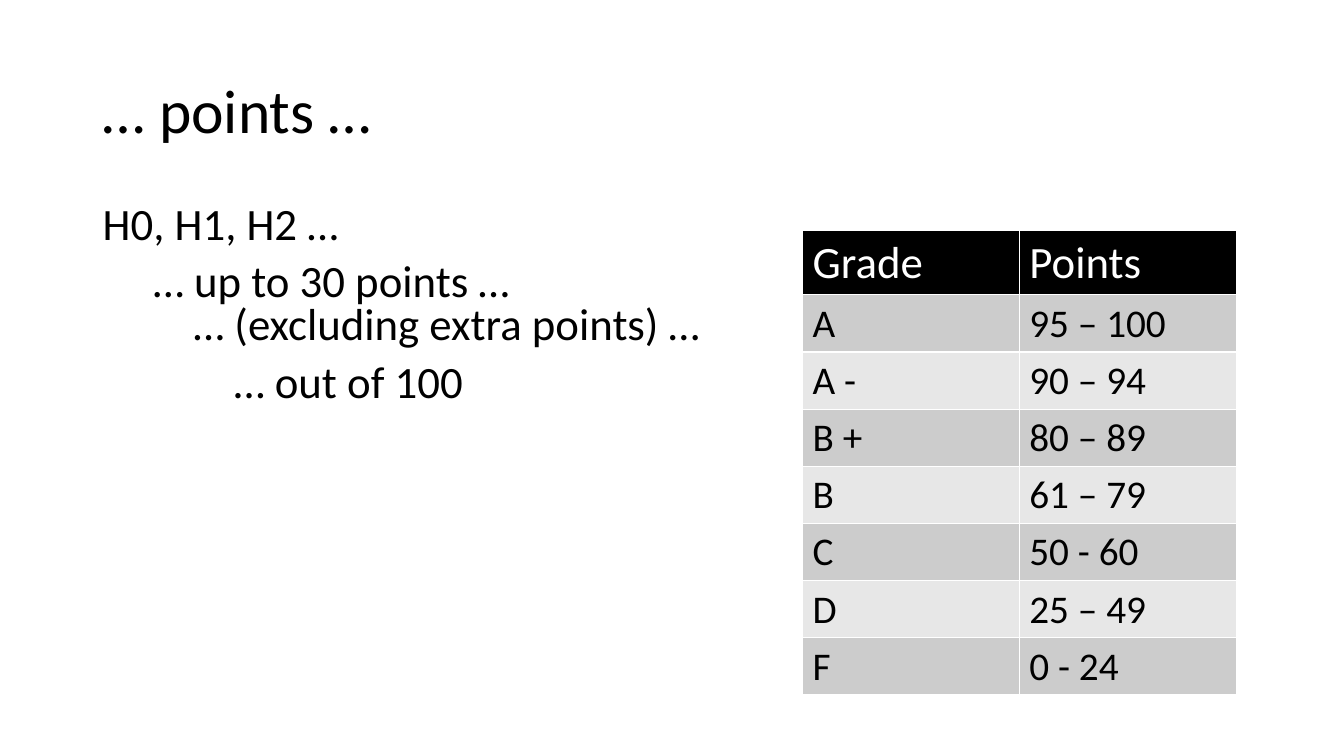
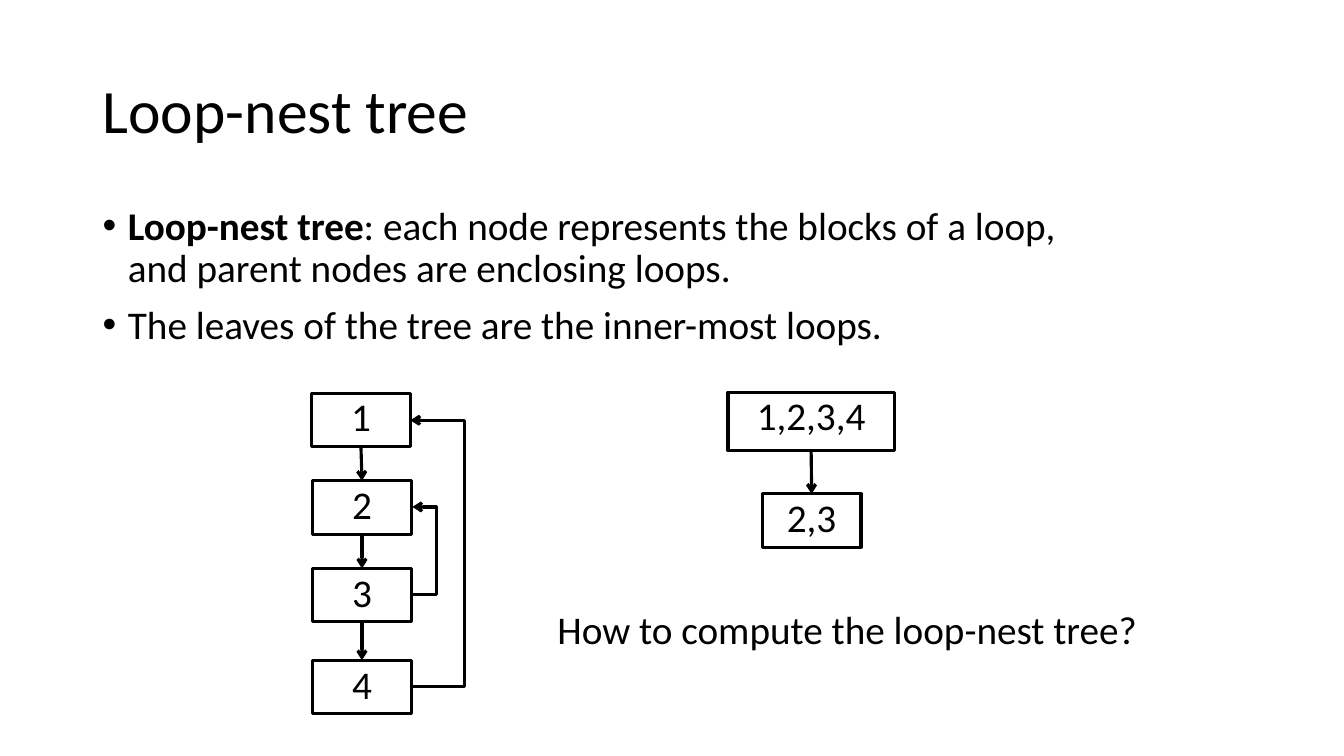
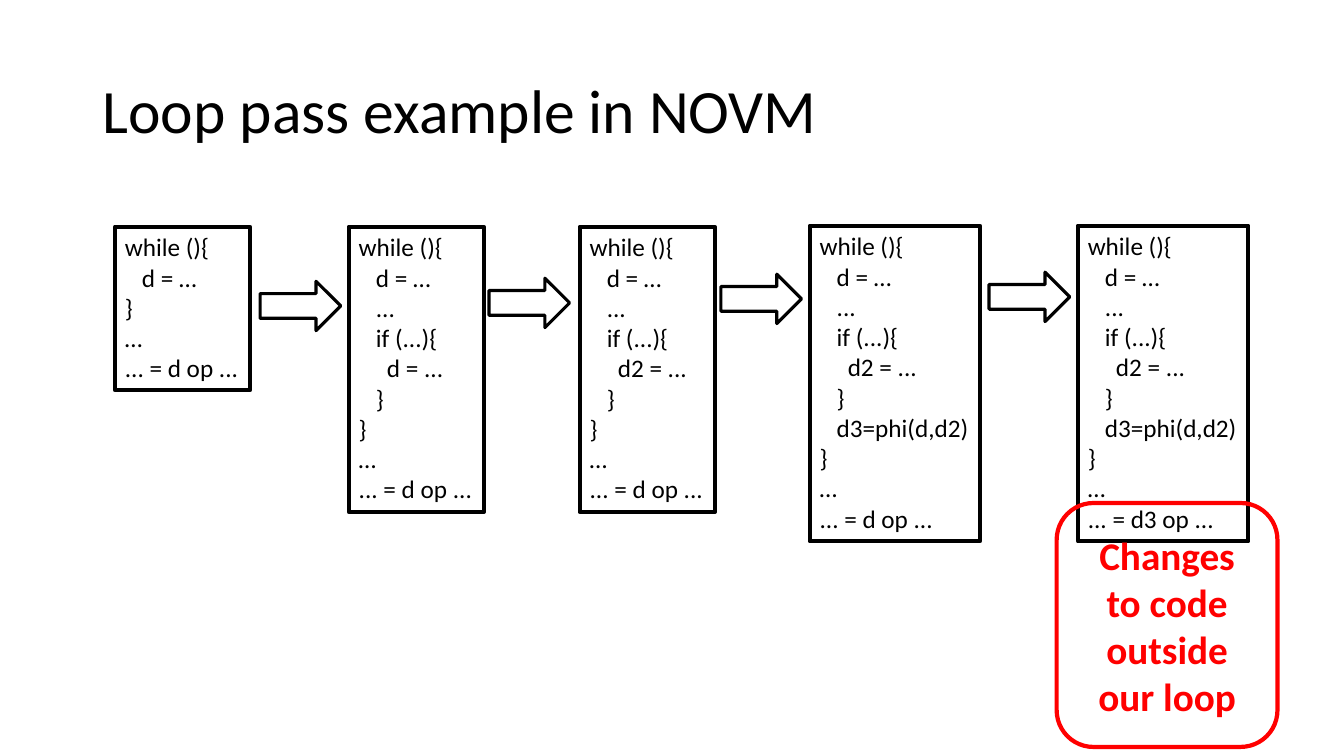
import lxml.etree
import pptx
import pptx.dml.color
import pptx.enum.shapes
import pptx.enum.text
import pptx.oxml.ns
import pptx.util

PX = 9144  # 100 px to the inch
BLACK, WHITE, RED = "000000", "FFFFFF", "FF0000"
GREYS = ["E7E7E7", "CCCCCC"]
FONT = "Calibri"
SHAPE = pptx.enum.shapes.MSO_SHAPE
LINK = pptx.enum.shapes.MSO_CONNECTOR
ALIGN = pptx.enum.text.PP_ALIGN
ANCHOR = pptx.enum.text.MSO_ANCHOR
rgb = pptx.dml.color.RGBColor.from_string
qn = pptx.oxml.ns.qn
sub = lxml.etree.SubElement


def write(tf, paras, size, color=BLACK, bold=False, bullet=False, **fmt):
    """Paragraphs are (left indent, space before, text); *...* is bold, \\v breaks a line."""
    for n, (left, before, text) in enumerate(paras):
        p = tf.add_paragraph() if n else tf.paragraphs[0]
        for name, value in fmt.items():
            setattr(p, name, value)
        p.space_before = pptx.util.Pt(before)
        pPr = p._p.get_or_add_pPr()
        pPr.set("marL", str(left * PX))
        if bullet:
            pPr.set("indent", str(-left * PX))
            sub(pPr, qn("a:buFont"), typeface="Arial")
            sub(pPr, qn("a:buChar"), char="•")
        for i, part in enumerate(text.split("*")):
            for j, line in enumerate(part.split("\v")):
                if j:
                    p.add_line_break()
                if line:
                    r = p.add_run()
                    r.text = line
                    r.font.name, r.font.size = FONT, pptx.util.Pt(size)
                    r.font.bold = bold or i % 2 == 1
                    r.font.color.rgb = rgb(color)


def add_box(s, at, kind=None, line=BLACK, width=2.25, anchor=ANCHOR.TOP):
    """Outlined shape, or a plain text box when no kind is given."""
    at = [v * PX for v in at]
    if kind is None:
        sp = s.shapes.add_textbox(*at)
    else:
        sp = s.shapes.add_shape(kind, *at)
        sp.shadow.inherit = False
        sp.fill.background()
        sp.line.color.rgb = rgb(line)
        sp.line.width = pptx.util.Pt(width)
    sp.text_frame.word_wrap = True
    sp.text_frame.vertical_anchor = anchor
    return sp


prs = pptx.Presentation()
prs.slide_width, prs.slide_height = 1333 * PX, 750 * PX

# Slides with their titles
slides = []
for title in ["… points …", "Loop-nest tree", "Loop pass example in NOVM"]:
    s = prs.slides.add_slide(prs.slide_layouts[6])
    sp = add_box(s, (92, 40, 1150, 145), anchor=ANCHOR.MIDDLE)
    write(sp.text_frame, [(0, 0, title)], 44, line_spacing=0.9)
    slides.append(s)
points, tree, example = slides

# Points: text
sp = add_box(points, (92, 200, 639, 226))
write(sp.text_frame, [
    (0, 0, "H0, H1, H2 …"),
    (50, 10, "… up to 30 points …"),
    (90, 0, "… (excluding extra points) …"),
    (130, 10, "… out of 100"),
], 32, line_spacing=0.8)

# Points: grade table, whose rows grow to fit their text
grades = [("Grade", "Points"), ("A", "95 – 100"), ("A -", "90 – 94"), ("B +", "80 – 89"),
          ("B", "61 – 79"), ("C", "50 - 60"), ("D", "25 – 49"), ("F", "0 - 24")]
tbl = points.shapes.add_table(len(grades), 2, 796 * PX, 229 * PX, 430 * PX, 460 * PX).table
for i, row in enumerate(grades):
    head = i == 0
    tbl.rows[i].height = 46 * PX
    for j, text in enumerate(row):
        cell = tbl.cell(i, j)
        write(cell.text_frame, [(0, 0, text)], 32 if head else 28, WHITE if head else BLACK)
        tcPr = cell._tc.get_or_add_tcPr()
        for side in ["lnL", "lnR", "lnT", "lnB"]:
            ln = sub(tcPr, qn("a:" + side), w="12700")
            sub(sub(ln, qn("a:solidFill")), qn("a:srgbClr"), val=WHITE)
        cell.fill.solid()
        cell.fill.fore_color.rgb = rgb(BLACK if head else GREYS[i % 2])

# Tree: text
sp = add_box(tree, (92, 200, 1148, 167))
write(sp.text_frame, [
    (25, 0, "*Loop-nest tree*: each node represents the blocks of a loop,\vand parent nodes are enclosing loops."),
    (25, 10, "The leaves of the tree are the inner-most loops."),
], 28, bullet=True, line_spacing=0.9)
sp = add_box(tree, (543, 601, 695, 73))
write(sp.text_frame, [(0, 0, "How to compute the loop-nest tree?")], 28, line_spacing=0.9)

# Tree: nodes
nodes = {}
for text, at in {
    "1": (309, 390, 98, 53), "2": (310, 477, 98, 53), "3": (310, 564, 98, 53),
    "4": (310, 655, 98, 53), "1,2,3,4": (722, 389, 165, 58), "2,3": (756, 490, 98, 53),
}.items():
    nodes[text] = add_box(tree, at, SHAPE.RECTANGLE)
    write(nodes[text].text_frame, [(0, 0, text)], 28, alignment=ALIGN.CENTER, line_spacing=0.9)

# Tree: edges down, then back edges that bend out to the right
edges = []
for a, b in [("1", "2"), ("2", "3"), ("3", "4"), ("1,2,3,4", "2,3")]:
    edge = tree.shapes.add_connector(LINK.STRAIGHT, 0, 0, 0, 0)
    edge.begin_connect(nodes[a], 2)
    edge.end_connect(nodes[b], 0)
    edges.append(edge)
for x1, y1, x2, y2, bend in [(408, 681, 407, 417, 462), (408, 590, 409, 503, 433)]:
    edge = tree.shapes.add_connector(LINK.ELBOW, x1 * PX, y1 * PX, x2 * PX, y2 * PX)
    ratio = (bend - x1) * 100000 // (x2 - x1)
    avLst = edge._element.spPr.prstGeom.get_or_add_avLst()
    sub(avLst, qn("a:gd"), name="adj1", fmla=f"val {ratio}")
    edges.append(edge)
for edge in edges:
    edge.line.color.rgb = rgb(BLACK)
    edge.line.width = pptx.util.Pt(2.25)
    sub(edge.line._get_or_add_ln(), qn("a:tailEnd"), type="arrow")
    sub(edge._element.spPr, qn("a:effectLst"))

# Example: code steps, each line with its indent
start = [(0, "while (){"), (17, "d = …")]
end = [(0, "}"), (0, "…")]
use, phi = [(0, "... = d op ...")], [(17, "d3=phi(d,d2)")]
cond, cond2 = [[(17, "..."), (17, "if (...){"), (28, name + " = ..."), (17, "}")]
               for name in ["d", "d2"]]
for at, code in [
    ((114, 225, 134, 162), start + end + use),
    ((346, 225, 134, 283), start + cond + end + use),
    ((575, 225, 134, 283), start + cond2 + end + use),
    ((803, 224, 169, 313), start + cond2 + phi + end + use),
    ((1069, 224, 169, 313), start + cond2 + phi + end + [(0, "... = d3 op ...")]),
]:
    sp = add_box(example, at, SHAPE.RECTANGLE, width=3)
    sp.text_frame.word_wrap = False
    sp.text_frame.auto_size = pptx.enum.text.MSO_AUTO_SIZE.SHAPE_TO_FIT_TEXT
    write(sp.text_frame, [(left, 0, text) for left, text in code], 18, alignment=ALIGN.LEFT)

# Example: arrows between the steps
for x, y in [(258, 279), (485, 276), (715, 272), (981, 270)]:
    add_box(example, (x, y, 80, 49), SHAPE.RIGHT_ARROW)

# Example: callout
sp = add_box(example, (1048, 499, 219, 242), SHAPE.ROUNDED_RECTANGLE, RED, 3, ANCHOR.MIDDLE)
write(sp.text_frame, [(0, 0, "Changes\vto code outside\vour loop")], 28, RED, True,
      alignment=ALIGN.CENTER)

prs.save("out.pptx")
